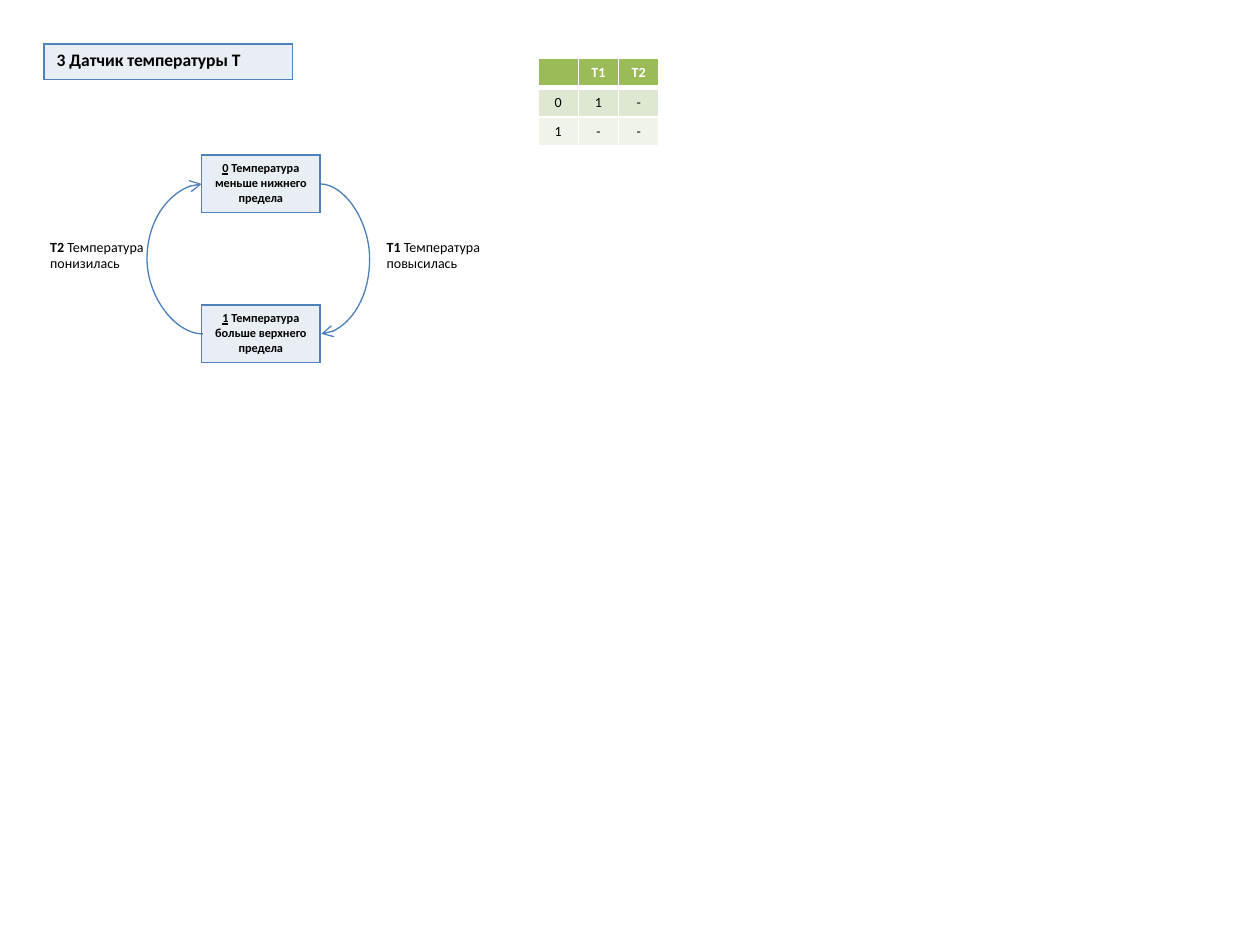
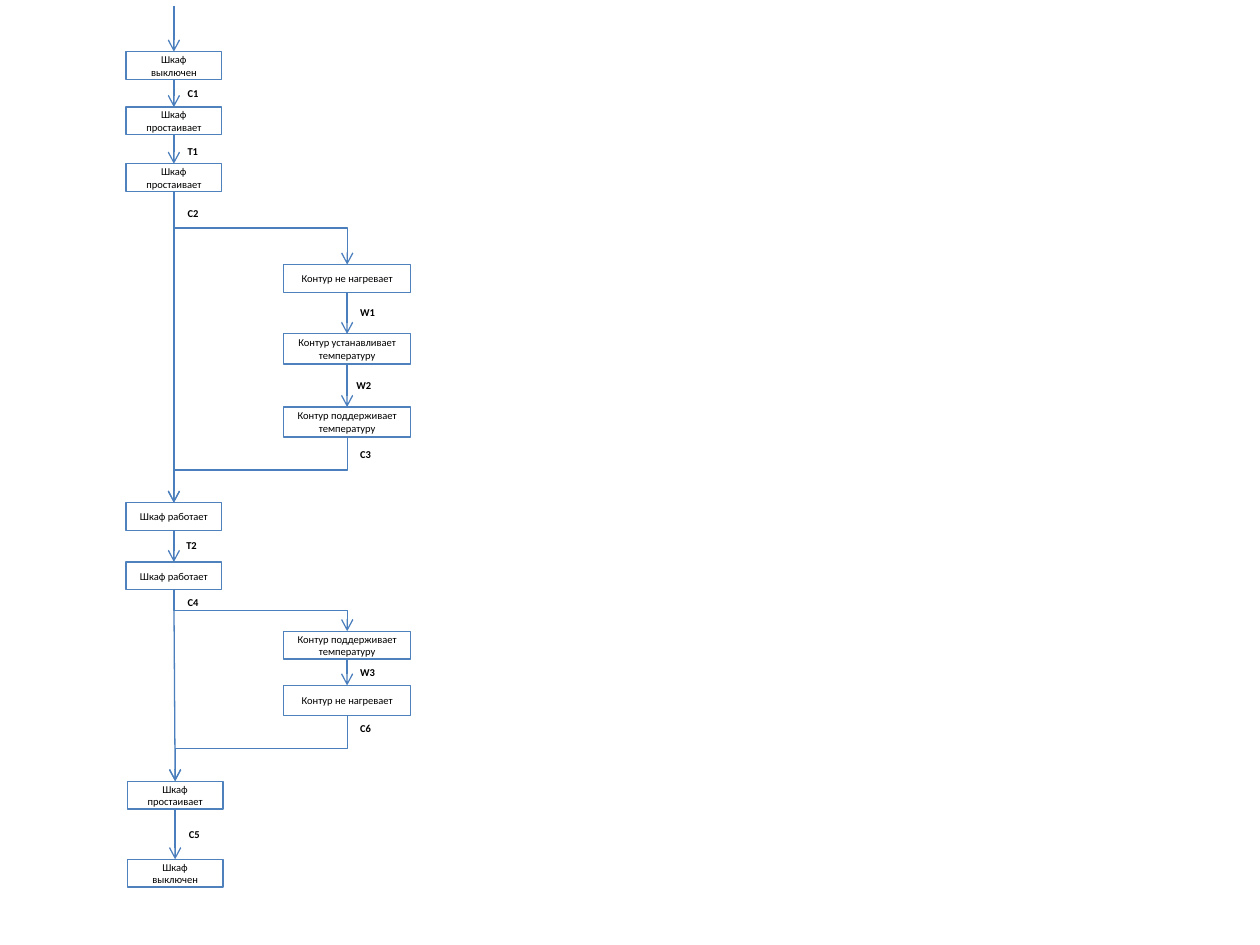
from lxml import etree
from pptx import Presentation
from pptx.dml.color import RGBColor
from pptx.enum import shapes, text
from pptx.oxml import ns
from pptx.util import Inches, Pt

FONT = "Calibri"
COLORS = {
    "black": "000000", "white": "FFFFFF", "border": "4F81BD", "arrow": "4B7EBC",
    "pale": "E9EDF4", "header": "9BBB59", "band": "DEE7D1", "light_band": "EFF3EA",
}

# Sensor slide: runs are (text, bold, underlined)
TITLE = [("3 Датчик температуры Т", True, False)]
STATE_SIZE = (0.94, 0.45)
STATE_LEFT = 1.6
STATES = [
    (1.23, [("0", True, True), (" Температура меньше нижнего предела", True, False)]),
    (2.42, [("1", True, True), (" Температура больше верхнего предела", True, False)]),
]
TRANSITIONS = [
    (2.97, [("T1 ", True, False), ("Температура повысилась", False, False)]),
    (0.3, [("T2 ", True, False), ("Температура понизилась", False, False)]),
]
# left, top, rotation, bulge
ARCS = [(2.54, 1.46, 0, 0.4), (1.6, 1.46, 180, 0.45)]
ARC_SIZE = (0.01, 1.19)
MATRIX = [("", "T1", "T2"), ("0", "1", "-"), ("1", "-", "-")]
MATRIX_FILLS = ["header", "band", "light_band"]

# Sequence slide: key -> text, left, top, width, height
CABINET_WIDTH, CIRCUIT_WIDTH = 0.76, 1.01
BOXES = {
    "off": ("Шкаф выключен", 1, 0.41, CABINET_WIDTH, 0.22),
    "idle": ("Шкаф простаивает", 1, 0.85, CABINET_WIDTH, 0.22),
    "idle warm": ("Шкаф простаивает", 1, 1.3, CABINET_WIDTH, 0.22),
    "cold": ("Контур не нагревает", 2.25, 2.1, CIRCUIT_WIDTH, 0.22),
    "setting": ("Контур устанавливает температуру", 2.25, 2.65, CIRCUIT_WIDTH, 0.24),
    "keeping": ("Контур поддерживает температуру", 2.25, 3.23, CIRCUIT_WIDTH, 0.24),
    "working": ("Шкаф работает", 1, 3.99, CABINET_WIDTH, 0.22),
    "working cool": ("Шкаф работает", 1, 4.46, CABINET_WIDTH, 0.22),
    "keeping again": ("Контур поддерживает температуру", 2.25, 5.01, CIRCUIT_WIDTH, 0.22),
    "cold again": ("Контур не нагревает", 2.25, 5.44, CIRCUIT_WIDTH, 0.24),
    "idle again": ("Шкаф простаивает", 1.01, 6.2, CABINET_WIDTH, 0.22),
    "off again": ("Шкаф выключен", 1.01, 6.82, CABINET_WIDTH, 0.22),
}
STRAIGHT = [
    ("off", "idle"), ("idle", "idle warm"), ("idle warm", "working"),
    ("cold", "setting"), ("setting", "keeping"), ("working", "working cool"),
    ("working cool", "idle again"), ("keeping again", "cold again"),
    ("idle again", "off again"),
]
BENT = [
    ("idle warm", "cold"), ("keeping", "working"),
    ("working cool", "keeping again"), ("cold again", "idle again"),
]
EVENTS = [
    ("C1", 1.39, 0.64), ("T1", 1.39, 1.1), ("C2", 1.39, 1.59), ("W1", 2.76, 2.38),
    ("W2", 2.73, 2.96), ("C3", 2.76, 3.51), ("T2", 1.38, 4.23), ("C4", 1.39, 4.68),
    ("W3", 2.76, 5.24), ("C6", 2.76, 5.68), ("C5", 1.4, 6.52),
]
ENTRY = (1.38, 0.05, 1.38, 0.41)


def color(name):
    return RGBColor.from_string(COLORS[name])


def write(frame, runs, size, ink="black", centered=False):
    paragraph = frame.paragraphs[0]
    if centered:
        paragraph.alignment = text.PP_ALIGN.CENTER
    for words, bold, underlined in runs:
        run = paragraph.add_run()
        run.text = words
        font = run.font
        font.name, font.size, font.bold = FONT, Pt(size), bold
        font.underline = underlined
        font.color.rgb = color(ink)
    end = etree.SubElement(paragraph._p, ns.qn("a:endParaRPr"))
    end.set("sz", str(size * 100))


def add_label(slide, left, top, width, height, runs, size, wrap):
    box = slide.shapes.add_textbox(*map(Inches, (left, top, width, height)))
    box.text_frame.word_wrap = wrap
    write(box.text_frame, runs, size)


def add_grid(slide, left, top, column_width, row_height, row_count, column_count):
    frame = slide.shapes.add_table(
        row_count, column_count, Inches(left), Inches(top),
        Inches(column_width * column_count), Inches(row_height * row_count))
    table = frame.table
    table.first_row = table.horz_banding = False
    for column in table.columns:
        column.width = Inches(column_width)
    for row in table.rows:
        row.height = Inches(row_height)
    return table


def style_cell(cell, fill, border, bottom_width=1):
    properties = cell._tc.get_or_add_tcPr()
    for side in "LRTB":
        width = bottom_width if side == "B" else 1
        line = etree.SubElement(properties, ns.qn(f"a:ln{side}"), w=str(Pt(width)))
        solid = etree.SubElement(line, ns.qn("a:solidFill"))
        etree.SubElement(solid, ns.qn("a:srgbClr"), val=COLORS[border])
    cell.fill.solid()
    cell.fill.fore_color.rgb = color(fill)


def add_framed_cell(slide, left, top, width, height, runs, size, centered):
    cell = add_grid(slide, left, top, width, height, 1, 1).cell(0, 0)
    style_cell(cell, "pale", "border")
    if centered:
        cell.vertical_anchor = text.MSO_ANCHOR.MIDDLE
    write(cell.text_frame, runs, size, centered=centered)


def add_arrow(slide, kind, x1, y1, x2, y2, rotation=0, flip=False, bend=None):
    """Bend is the turning point as a share of the unrotated width."""
    arrow = slide.shapes.add_connector(kind, *map(Inches, (x1, y1, x2, y2)))
    arrow.line.color.rgb = color("arrow")
    arrow.line.width = Pt(0.75)
    etree.SubElement(arrow.line._get_or_add_ln(), ns.qn("a:tailEnd"), type="arrow")
    properties = arrow._element.spPr
    etree.SubElement(properties, ns.qn("a:effectLst"))
    frame = properties.find(ns.qn("a:xfrm"))
    if rotation:
        frame.set("rot", str(rotation * 60000))
    if flip:
        frame.set("flipH", "1")
    if bend is not None:
        guides = properties.find(ns.qn("a:prstGeom")).find(ns.qn("a:avLst"))
        etree.SubElement(guides, ns.qn("a:gd"), name="adj1",
                         fmla=f"val {round(bend * 100000)}")
    return arrow


def add_bent_arrow(slide, source, target):
    """Leave the source downwards, cross halfway and enter the target from above."""
    _, left, top, width, height = BOXES[source]
    x1, y1 = left + width / 2, top + height
    _, left, y2, width, _ = BOXES[target]
    x2 = left + width / 2
    drop, across = y2 - y1, abs(x2 - x1)
    left, top = (x1 + x2 - drop) / 2, (y1 + y2 - across) / 2
    rightwards = x2 > x1
    add_arrow(slide, shapes.MSO_CONNECTOR.ELBOW, left, top, left + drop, top + across,
              rotation=270 if rightwards else 90, flip=rightwards, bend=0.5)


def add_box(slide, words, left, top, width, height):
    box = slide.shapes.add_shape(
        shapes.MSO_SHAPE.RECTANGLE, *map(Inches, (left, top, width, height)))
    box.shadow.inherit = False
    box.fill.solid()
    box.fill.fore_color.rgb = color("white")
    box.line.color.rgb = color("border")
    box.line.width = Pt(0.75)
    box.text_frame.word_wrap = True
    box.text_frame.vertical_anchor = text.MSO_ANCHOR.MIDDLE
    write(box.text_frame, [(words, False, False)], 6, centered=True)
    return box


def build_sensor_slide(slide):
    add_framed_cell(slide, 0.35, 0.35, 1.97, 0.28, TITLE, 10, False)
    for top, runs in STATES:
        add_framed_cell(slide, STATE_LEFT, top, *STATE_SIZE, runs, 7, True)
    width, height = ARC_SIZE
    for left, top, rotation, bulge in ARCS:
        add_arrow(slide, shapes.MSO_CONNECTOR.CURVE, left, top, left + width, top + height,
                  rotation=rotation, bend=bulge / width)
    for left, runs in TRANSITIONS:
        add_label(slide, left, 1.84, 1.1, 0.37, runs, 8, True)

    matrix = add_grid(slide, 4.27, 0.46, 0.32, 0.23, len(MATRIX), len(MATRIX[0]))
    for row, (values, fill) in enumerate(zip(MATRIX, MATRIX_FILLS)):
        header = row == 0
        for column, value in enumerate(values):
            cell = matrix.cell(row, column)
            style_cell(cell, fill, "white", 3 if header else 1)
            cell.vertical_anchor = text.MSO_ANCHOR.MIDDLE
            runs = [(value, header, False)] if value else []
            write(cell.text_frame, runs, 8, "white" if header else "black", True)


def build_sequence_slide(slide):
    boxes = {key: add_box(slide, *box) for key, box in BOXES.items()}
    straight = shapes.MSO_CONNECTOR.STRAIGHT
    add_arrow(slide, straight, *ENTRY).end_connect(boxes["off"], 0)
    for source, target in STRAIGHT:
        arrow = add_arrow(slide, straight, 0, 0, 1, 1)
        arrow.begin_connect(boxes[source], 2)
        arrow.end_connect(boxes[target], 0)
    for source, target in BENT:
        add_bent_arrow(slide, source, target)
    for name, left, top in EVENTS:
        width = 0.36 if name.startswith("W") else 0.29
        add_label(slide, left, top, width, 0.2, [(name, True, False)], 6, False)


def main():
    presentation = Presentation()
    presentation.slide_width = Inches(10)
    presentation.slide_height = Inches(7.5)
    for build in (build_sensor_slide, build_sequence_slide):
        build(presentation.slides.add_slide(presentation.slide_layouts[6]))
    presentation.save("out.pptx")


if __name__ == "__main__":
    main()
